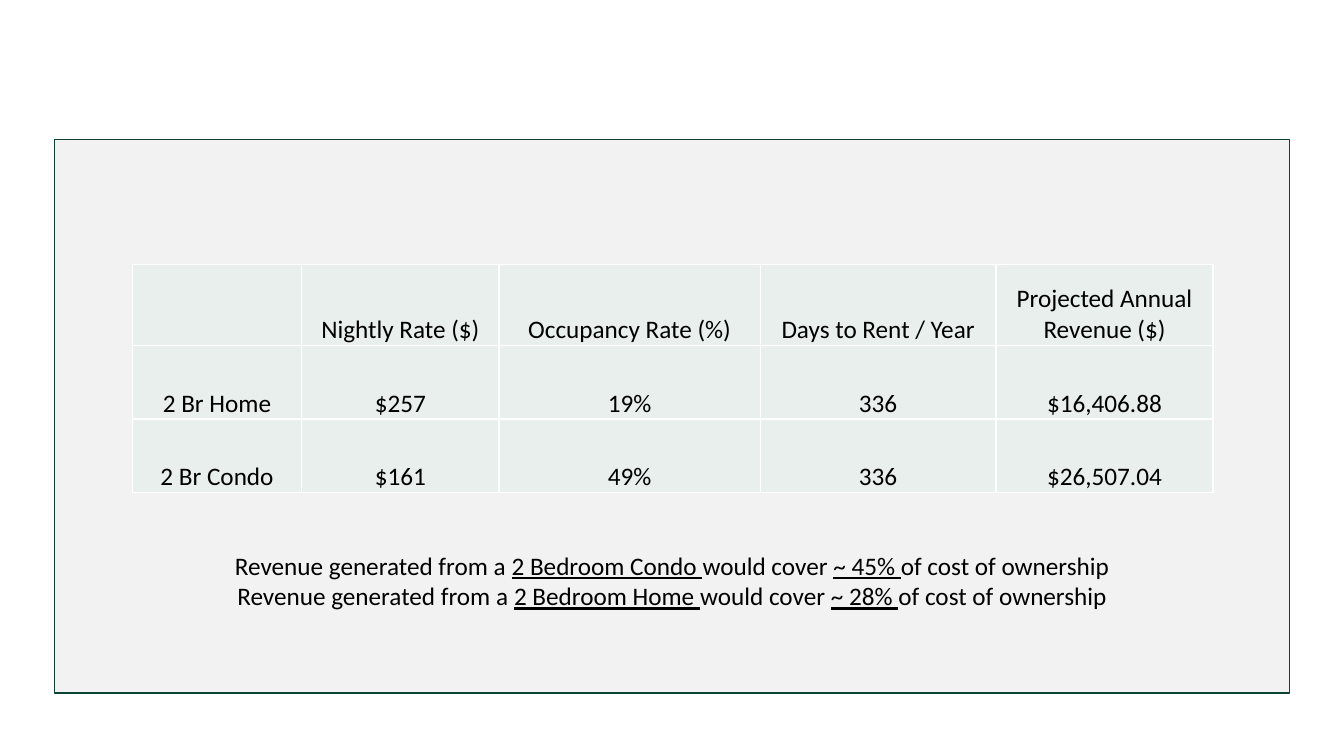
from lxml.etree import SubElement
from pptx import Presentation
from pptx.dml.color import RGBColor
from pptx.enum.shapes import MSO_SHAPE as Shape
from pptx.enum.text import MSO_ANCHOR as Anchor, PP_ALIGN as Align
from pptx.oxml.ns import qn
from pptx.util import Pt

COLUMN_WIDTHS = [121, 141, 186.5, 168.5, 155]
ROW_HEIGHTS = [58, 52.5, 52.5]
RENTAL_ROWS = [
    ["", "Nightly Rate ($)", "Occupancy Rate (%)", "Days to Rent / Year",
     "Projected Annual Revenue ($)"],
    ["2 Br Home", "$257", "19%", "336", "$16,406.88"],
    ["2 Br Condo", "$161", "49%", "336", "$26,507.04"],
]
COVERAGE = [("2 Bedroom Condo ", "~ 45% "), ("2 Bedroom Home ", "~ 28% ")]


def paint(color_format, color):
    color_format.rgb = RGBColor.from_string(color)


def fill_solid(fill, color):
    fill.solid()
    paint(fill.fore_color, color)


def add_span(para, text, underline=False):
    span = para.add_run()
    span.text = text
    span.font.name = "Calibri"
    span.font.size = Pt(18)
    span.font.underline = underline
    paint(span.font.color, "000000")


def add_panel(page):
    panel = page.shapes.add_shape(Shape.RECTANGLE, Pt(39), Pt(99.5), Pt(882), Pt(395.5))
    panel.shadow.inherit = False
    fill_solid(panel.fill, "E7E6E6")
    color = panel.fill._xPr.find(f".//{qn('a:srgbClr')}")
    SubElement(color, qn("a:alpha"), val="50000")
    paint(panel.line.color, "0D4335")
    panel.line.width = Pt(1)


def add_borders(cell, color):
    properties = cell._tc.get_or_add_tcPr()
    for side in ("a:lnL", "a:lnR", "a:lnT", "a:lnB"):
        line = SubElement(properties, qn(side), w=str(Pt(1)))
        fill = SubElement(line, qn("a:solidFill"))
        SubElement(fill, qn("a:srgbClr"), val=color)


def format_cell(cell, text):
    add_borders(cell, "FFFFFF")
    fill_solid(cell.fill, "E8EFEC")
    cell.vertical_anchor = Anchor.BOTTOM
    cell.margin_left = cell.margin_right = cell.margin_top = Pt(0.75)
    cell.margin_bottom = 0
    if text:
        para = cell.text_frame.paragraphs[0]
        para.alignment = Align.CENTER
        add_span(para, text)


def add_rental_table(page):
    table = page.shapes.add_table(
        len(ROW_HEIGHTS), len(COLUMN_WIDTHS), Pt(94.5), Pt(188.75),
        Pt(sum(COLUMN_WIDTHS)), Pt(sum(ROW_HEIGHTS))).table
    table.first_row = table.horz_banding = False
    for column, width in zip(table.columns, COLUMN_WIDTHS):
        column.width = Pt(width)
    for row, height, texts in zip(table.rows, ROW_HEIGHTS, RENTAL_ROWS):
        row.height = Pt(height)
        for cell, text in zip(row.cells, texts):
            format_cell(cell, text)


def add_coverage_note(page):
    box = page.shapes.add_textbox(Pt(157.75), Pt(389.5), Pt(644.5), Pt(51))
    frame = box.text_frame
    frame.word_wrap = True
    for index, (property_type, share) in enumerate(COVERAGE):
        para = frame.add_paragraph() if index else frame.paragraphs[0]
        para.alignment = Align.CENTER
        add_span(para, "Revenue generated from a ")
        add_span(para, property_type, underline=True)
        add_span(para, "would cover ")
        add_span(para, share, underline=True)
        add_span(para, "of cost of ownership")


def main():
    deck = Presentation()
    deck.slide_width, deck.slide_height = Pt(960), Pt(540)
    page = deck.slides.add_slide(deck.slide_layouts[6])
    add_panel(page)
    add_rental_table(page)
    add_coverage_note(page)
    deck.save("out.pptx")


if __name__ == "__main__":
    main()
